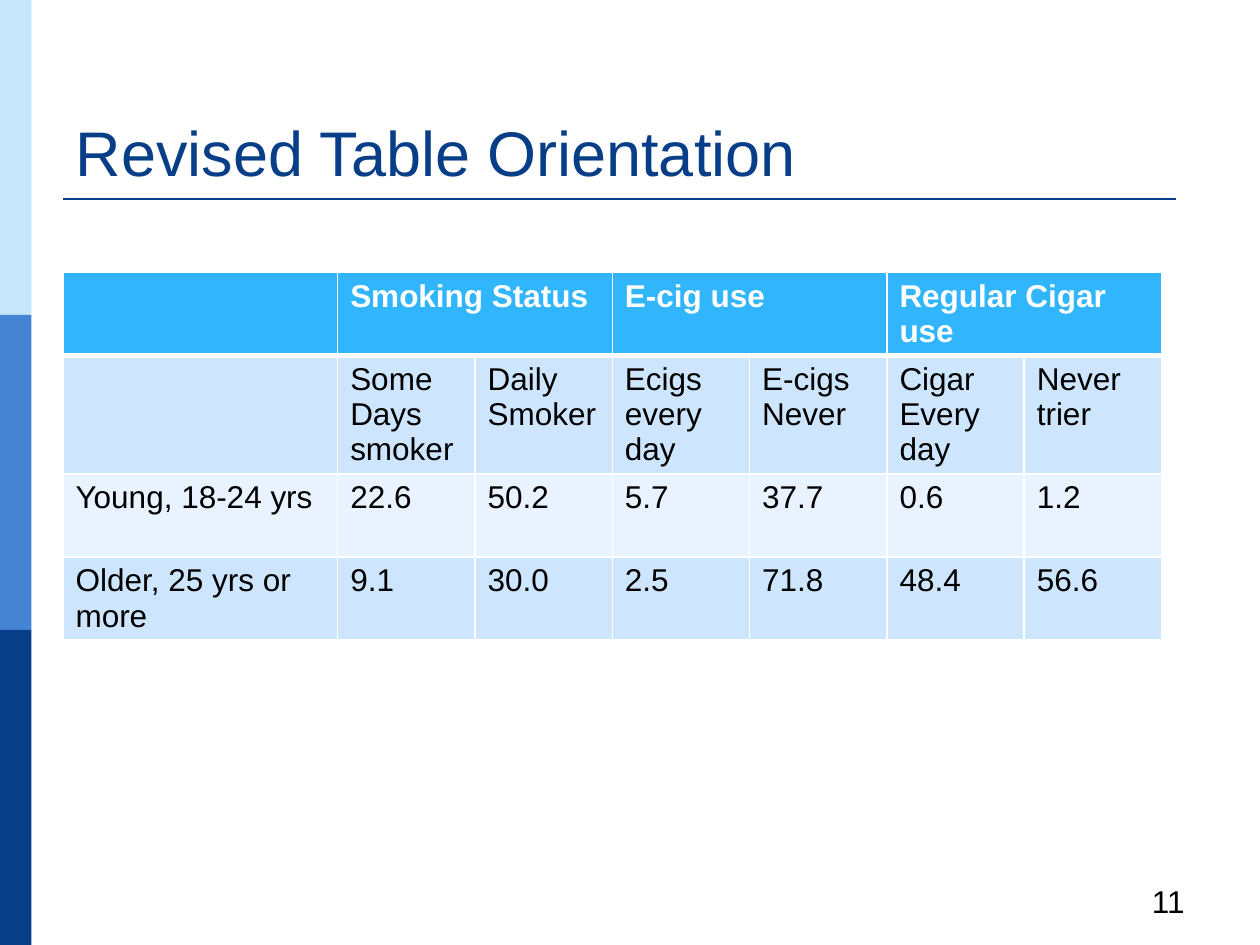
from lxml import etree
from pptx import Presentation
from pptx.dml.color import RGBColor
from pptx.enum.shapes import MSO_CONNECTOR, MSO_SHAPE
from pptx.enum.text import MSO_ANCHOR, MSO_AUTO_SIZE, PP_ALIGN
from pptx.oxml import parse_xml
from pptx.oxml.ns import nsdecls, qn
from pptx.util import Inches, Pt

RECTANGLE = MSO_SHAPE.RECTANGLE
STRAIGHT = MSO_CONNECTOR.STRAIGHT
BOTTOM, MIDDLE = MSO_ANCHOR.BOTTOM, MSO_ANCHOR.MIDDLE
LEFT, RIGHT = PP_ALIGN.LEFT, PP_ALIGN.RIGHT
NO_AUTOFIT = MSO_AUTO_SIZE.NONE

NAVY = RGBColor(0x07, 0x3E, 0x87)
BLUE = RGBColor(0x45, 0x84, 0xD3)
PALE_BLUE = RGBColor(0xC6, 0xE7, 0xFC)
HEADER_BLUE = RGBColor(0x31, 0xB6, 0xFD)
BAND_DARK = RGBColor(0xCE, 0xE5, 0xFE)
BAND_LIGHT = RGBColor(0xE8, 0xF3, 0xFF)
WHITE = RGBColor(0xFF, 0xFF, 0xFF)
BLACK = RGBColor(0, 0, 0)

TITLE_ONLY = 5
COLUMN_WIDTHS = [2.18] + [1.09] * 6
ROW_HEIGHTS = [0.65, 0.94, 0.66, 0.66]
ROW_FILLS = [HEADER_BLUE, BAND_DARK, BAND_LIGHT, BAND_DARK]
ROWS = [
    ["", "Smoking Status", "", "E-cig use", "", "Regular Cigar use", ""],
    ["", "Some Days smoker", "Daily Smoker", "Ecigs every day", "E-cigs Never",
     "Cigar Every day", "Never trier"],
    ["Young, 18-24 yrs", "22.6", "50.2", "5.7", "37.7", "0.6", "1.2"],
    ["Older, 25 yrs or more", "9.1", "30.0", "2.5", "71.8", "48.4", "56.6"],
]


class SlideBuilder:
    """Holds the slide's style and draws each kind of element on it."""

    font_name = "Arial"
    body_size = Pt(18)

    def __init__(self, slide):
        self.slide = slide

    def add_text(self, frame, text, color, size=body_size, bold=False, align=LEFT):
        paragraph = frame.paragraphs[0]
        paragraph.alignment = align
        if text:
            run = paragraph.add_run()
            run.text = text
            run.font.color.rgb = color
            style = {"name": self.font_name, "size": size, "bold": bold}
            for attribute, value in style.items():
                setattr(run.font, attribute, value)

    def place(self, shape, left, top, width, height):
        position = {"left": left, "top": top, "width": width, "height": height}
        for attribute, value in position.items():
            setattr(shape, attribute, Inches(value))

    def title(self, text, *box):
        title = self.slide.shapes.title
        self.place(title, *box)
        title.text_frame.auto_size = NO_AUTOFIT
        title.text_frame.vertical_anchor = BOTTOM
        self.add_text(title.text_frame, text, NAVY, Pt(36))

    def bar(self, color, *box):
        bar = self.slide.shapes.add_shape(RECTANGLE, *map(Inches, box))
        bar.shadow.inherit = False
        bar.fill.solid()
        bar.fill.fore_color.rgb = color
        bar.line.fill.background()

    def rule(self, color, *ends):
        rule = self.slide.shapes.add_connector(STRAIGHT, *map(Inches, ends))
        rule.line.color.rgb = color
        rule.line.width = Pt(1.5)
        etree.SubElement(rule._element.spPr, qn("a:effectLst"))

    def page_number(self, text, *box):
        number = self.slide.shapes.add_textbox(*map(Inches, box))
        number.text_frame.word_wrap = True
        number.text_frame.vertical_anchor = MIDDLE
        self.add_text(number.text_frame, text, BLACK, align=RIGHT)

    def borders(self, cell, bottom):
        widths = {"lnL": 1, "lnR": 1, "lnT": 1, "lnB": bottom}
        properties = cell._tc.get_or_add_tcPr()
        for tag, width in widths.items():
            properties.append(parse_xml(
                f'<a:{tag} {nsdecls("a")} w="{Pt(width)}"><a:solidFill>'
                f'<a:srgbClr val="{WHITE}"/></a:solidFill></a:{tag}>'))

    def table(self, rows, left, top):
        box = (left, top, sum(COLUMN_WIDTHS), sum(ROW_HEIGHTS))
        table = self.slide.shapes.add_table(
            len(rows), len(COLUMN_WIDTHS), *map(Inches, box)).table
        for column, width in zip(table.columns, COLUMN_WIDTHS):
            column.width = Inches(width)
        for r, (row, height, fill) in enumerate(zip(rows, ROW_HEIGHTS, ROW_FILLS)):
            table.rows[r].height = Inches(height)
            header = r == 0
            for c, text in enumerate(row):
                cell = table.cell(r, c)
                self.borders(cell, bottom=3 if header else 1)
                cell.fill.solid()
                cell.fill.fore_color.rgb = fill
                self.add_text(cell.text_frame, text, WHITE if header else BLACK,
                              bold=header)
        for c in range(1, len(COLUMN_WIDTHS), 2):
            table.cell(0, c).merge(table.cell(0, c + 1))


def main():
    presentation = Presentation()
    presentation.slide_width = Inches(10)
    presentation.slide_height = Inches(7.5)
    layout = presentation.slide_layouts[TITLE_ONLY]
    builder = SlideBuilder(presentation.slides.add_slide(layout))

    for i, color in enumerate([PALE_BLUE, BLUE, NAVY]):
        builder.bar(color, 0, 2.5 * i, 0.25, 2.5)
    builder.rule(NAVY, 0.5, 1.58, 9.33, 1.58)
    builder.title("Revised Table Orientation", 0.5, 0.3, 9, 1.25)
    builder.table(ROWS, 0.5, 2.16)
    builder.page_number("11", 7.17, 6.95, 2.33, 0.4)

    presentation.save("out.pptx")


if __name__ == "__main__":
    main()
